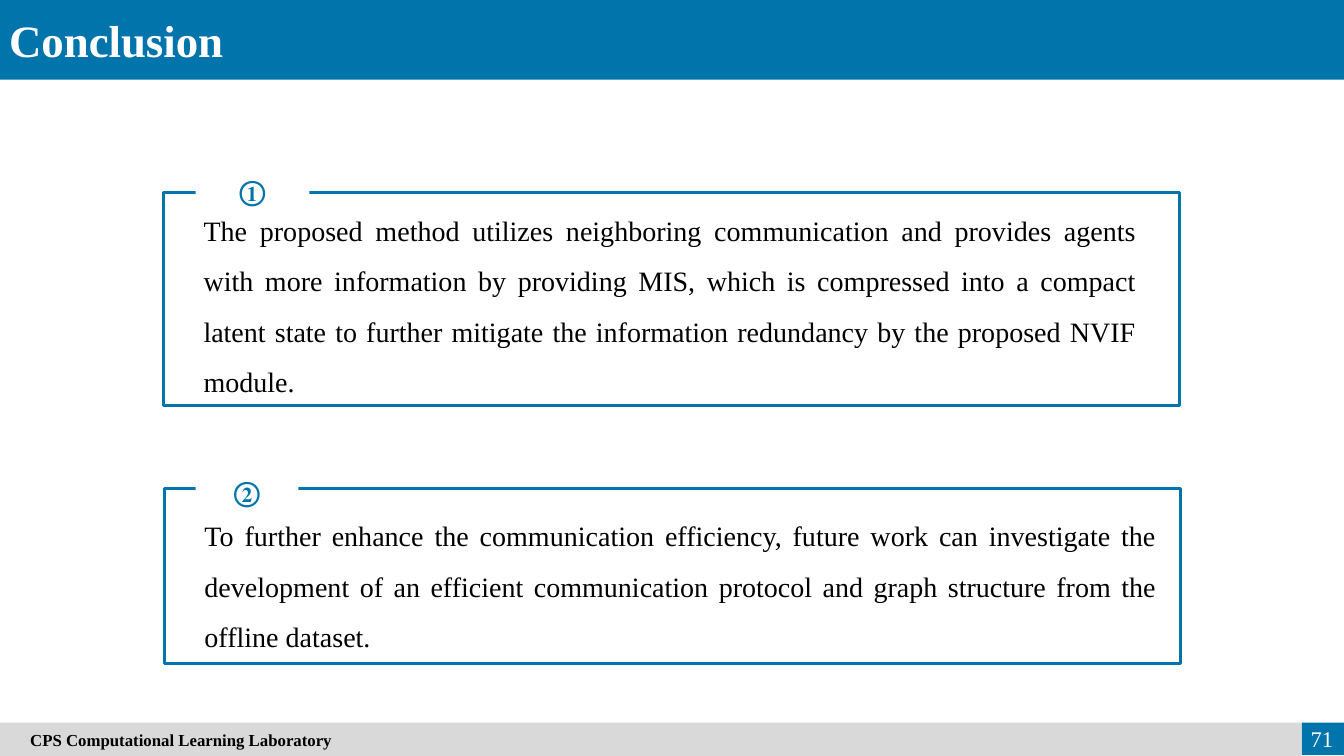
from pptx import Presentation
from pptx import util as u
from pptx.dml.color import RGBColor
from pptx.enum import shapes, text

BLUE = RGBColor(0x01, 0x74, 0xAB)
GREY = RGBColor(0xD9, 0xD9, 0xD9)
WHITE = RGBColor(0xFF, 0xFF, 0xFF)
BLACK = RGBColor(0, 0, 0)
LEFT, MID, RIGHT, FULL = (text.PP_ALIGN.LEFT, text.PP_ALIGN.CENTER,
                          text.PP_ALIGN.RIGHT, text.PP_ALIGN.JUSTIFY)
TOP, HALF = text.MSO_ANCHOR.TOP, text.MSO_ANCHOR.MIDDLE

POINTS = [
    ("①", (1.62, 1.91, 10.08, 2.11), (1.94, 1.61, 1.13, 0.55), (1.92, 1.9, 9.45, 2.12),
     "The proposed method utilizes neighboring communication and provides agents "
     "with more information by providing MIS, which is compressed into a compact "
     "latent state to further mitigate the information redundancy by the proposed "
     "NVIF module."),
    ("②", (1.63, 4.85, 10.08, 1.73), (1.94, 4.6, 1.02, 0.55), (1.93, 4.93, 9.64, 1.61),
     "To further enhance the communication efficiency, future work can investigate "
     "the development of an efficient communication protocol and graph structure "
     "from the offline dataset."),
]


class Deck:
    face = "Times New Roman"

    def __init__(self):
        self.file = Presentation()
        self.file.slide_width = u.Inches(13.33)
        self.file.slide_height = u.Inches(7.5)
        self.slide = self.file.slides.add_slide(self.file.slide_layouts[5])

    def letter(self, shape, words, size, color, bold=False, align=LEFT,
               anchor=TOP, space=1.0):
        frame = shape.text_frame
        frame.word_wrap = True
        frame.auto_size = text.MSO_AUTO_SIZE.NONE
        frame.vertical_anchor = anchor
        para = frame.paragraphs[0]
        para.alignment = align
        para.line_spacing = space
        run = para.add_run()
        run.text = words
        run.font.name = self.face
        run.font.size = u.Pt(size)
        run.font.bold = bold
        run.font.color.rgb = color

    def rect(self, at, fill=None, line=None):
        shape = self.slide.shapes.add_shape(
            shapes.MSO_SHAPE.RECTANGLE, *map(u.Inches, at))
        shape.shadow.inherit = False
        if fill is None:
            shape.fill.background()
        else:
            shape.fill.solid()
            shape.fill.fore_color.rgb = fill
        if line is None:
            shape.line.fill.background()
        else:
            shape.line.color.rgb = line
            shape.line.width = u.Pt(2.25)
        return shape

    def label(self, at, words, size, color, **style):
        box = self.slide.shapes.add_textbox(*map(u.Inches, at))
        self.letter(box, words, size, color, **style)

    def title(self, at, words):
        head = self.slide.shapes.title
        head.left, head.top, head.width, head.height = map(u.Inches, at)
        self.letter(head, words, 32, WHITE, bold=True, align=FULL)
        head.element.getparent().append(head.element)

    def foot(self, words, page):
        self.rect((12.91, 7.17, 0.42, 0.32), BLUE)
        band = self.rect((0, 7.17, 12.91, 0.33), GREY)
        self.letter(band, words, 12, BLACK, bold=True, anchor=HALF)
        band.text_frame.margin_left = u.Inches(0.3)
        self.label((12.69, 7.13, 0.63, 0.4), page, 16, WHITE,
                   align=RIGHT, anchor=HALF)

    def point(self, mark, frame, gap, body, words):
        self.rect(frame, line=BLUE)
        tag = self.rect(gap, WHITE)
        self.letter(tag, mark, 20, BLUE, bold=True, align=MID, anchor=HALF)
        self.label(body, words, 20, BLACK, align=FULL, space=1.5)


def main():
    deck = Deck()
    deck.rect((0, 0, 13.33, 0.79), BLUE)
    deck.title((-0.01, 0.08, 5.37, 0.64), "Conclusion")
    deck.foot("CPS Computational Learning Laboratory", "71")
    for point in POINTS:
        deck.point(*point)
    deck.file.save("out.pptx")


if __name__ == "__main__":
    main()
